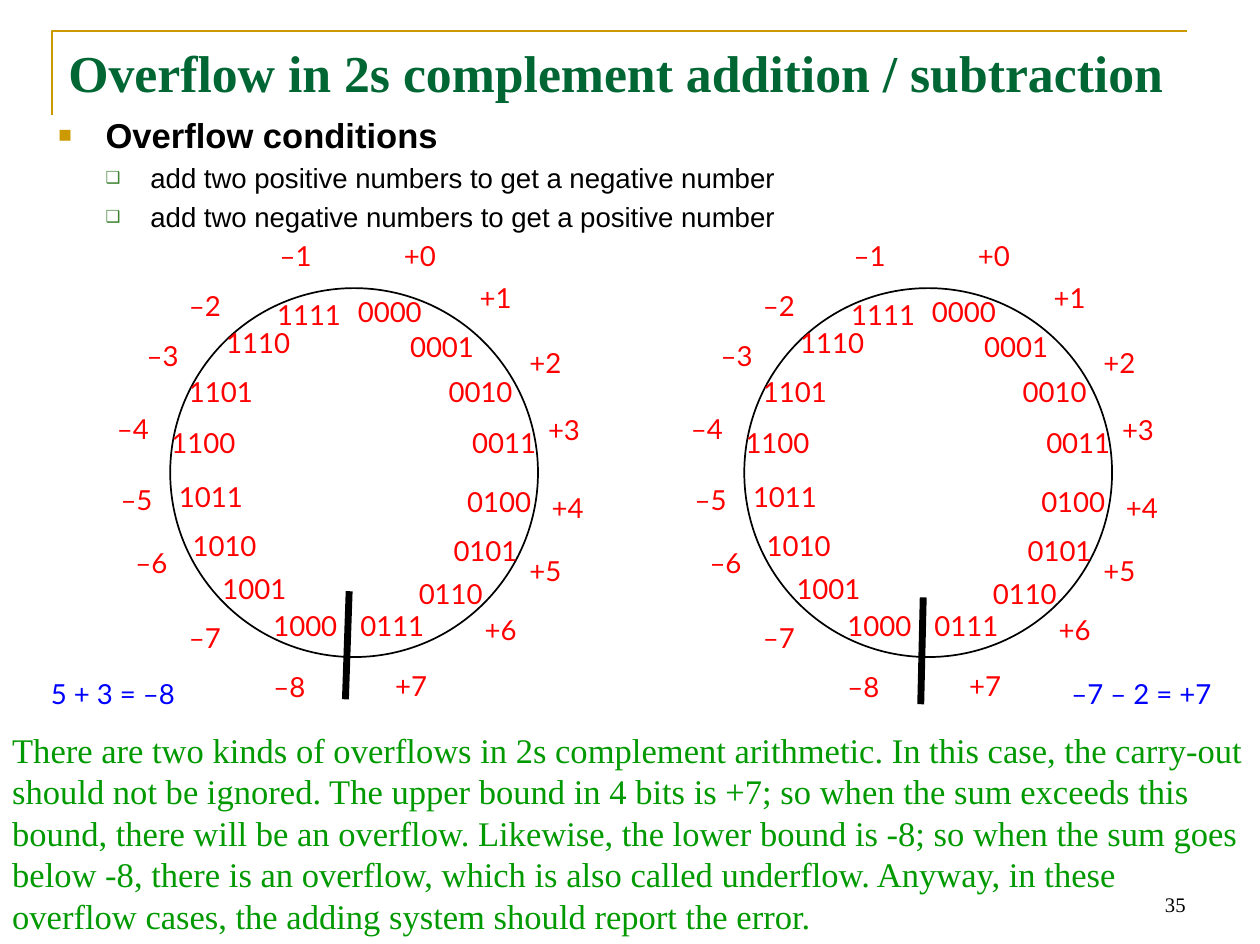
from dataclasses import dataclass

from lxml.etree import SubElement
from pptx import Presentation
from pptx.dml.color import RGBColor
from pptx.enum.shapes import MSO_CONNECTOR, MSO_SHAPE
from pptx.enum.text import MSO_ANCHOR, MSO_AUTO_SIZE, PP_ALIGN
from pptx.oxml.ns import qn
from pptx.util import Inches, Pt


@dataclass(frozen=True)
class Theme:
    """Colours, fonts and type sizes of the slide."""
    serif: str = "Times New Roman"
    sans: str = "Arial"
    label: str = "Lato"
    title: str = "006633"
    note: str = "009900"
    ink: str = "000000"
    paper: str = "FFFFFF"
    gold: str = "CC9900"
    leaf: str = "3B812F"
    red: str = "FF0000"
    blue: str = "0000FF"
    title_size: float = 30
    head_size: float = 20
    text_size: float = 16
    number_size: float = 12


T = Theme()
TITLE = "Overflow in 2s complement addition / subtraction"
BULLETS = [
    ("Overflow conditions", 0),
    ("add two positive numbers to get a negative number", 1),
    ("add two negative numbers to get a positive number", 1),
]
NOTE = (
    "There are two kinds of overflows in 2s complement arithmetic. In this case, "
    "the carry-out should not be ignored. The upper bound in 4 bits is +7; so when "
    "the sum exceeds this bound, there will be an overflow. Likewise, the lower "
    "bound is -8; so when the sum goes below -8, there is an overflow, which is "
    "also called underflow. Anyway, in these overflow cases, the adding system "
    "should report the error."
)
VALUES = [
    ("+0", 3.23, 1.94), ("+1", 3.84, 2.28), ("+2", 4.24, 2.8), ("+3", 4.39, 3.34),
    ("+4", 4.42, 3.97), ("+5", 4.24, 4.47), ("+6", 3.88, 4.95), ("+7", 3.16, 5.4),
    ("–8", 2.18, 5.41), ("–7", 1.5, 5.01), ("–6", 1.07, 4.41), ("–5", 0.95, 3.9),
    ("–4", 0.92, 3.33), ("–3", 1.16, 2.74), ("–2", 1.5, 2.34), ("–1", 2.23, 1.94),
]
CODE_PLACES = [
    (2.86, 2.42), (3.28, 2.7), (3.59, 3.06), (3.78, 3.47),
    (3.74, 3.95), (3.63, 4.34), (3.35, 4.69), (2.88, 4.95),
    (2.18, 4.95), (1.77, 4.65), (1.53, 4.3), (1.42, 3.91),
    (1.36, 3.47), (1.5, 3.06), (1.8, 2.67), (2.21, 2.44),
]
WHEEL_GAP = 4.62


def box(x, y, w, h):
    """Return left, top, width and height as lengths."""
    return [Inches(v) for v in (x, y, w, h)]


def place(sp, x, y, w, h):
    """Move and size a placeholder."""
    sp.left, sp.top, sp.width, sp.height = box(x, y, w, h)


def style(p, font, size, color, bold=False):
    """Format every run of a paragraph."""
    for r in p.runs:
        r.font.name, r.font.size, r.font.bold = font, Pt(size), bold
        r.font.color.rgb = RGBColor.from_string(color)


def add_label(shapes, text, x, y, w, h, color, spacing, align=PP_ALIGN.LEFT):
    """Add a one-line label with narrow margins."""
    tf = shapes.add_textbox(*box(x, y, w, h)).text_frame
    tf.word_wrap = False
    tf.margin_left = tf.margin_right = Inches(0.02)
    tf.margin_top = tf.margin_bottom = Inches(0.03)
    tf.text = text
    p = tf.paragraphs[0]
    p.alignment, p.line_spacing = align, Pt(spacing)
    style(p, T.label, T.text_size, color)


def add_wheel(shapes, dx):
    """Add the circle of 4-bit codes with their signed values."""
    group = shapes.add_group_shape().shapes
    for text, x, y in VALUES:
        add_label(group, text, x + dx, y, 0.42, 0.39, T.red, 16)
    sp = group.add_shape(MSO_SHAPE.OVAL, *box(1.37 + dx, 2.32, 2.96, 2.97))
    sp.shadow.inherit = False
    sp.fill.solid()
    sp.fill.fore_color.rgb = RGBColor.from_string(T.paper)
    sp.line.color.rgb = RGBColor.from_string(T.ink)
    sp.line.width = Pt(1)
    for code, (x, y) in enumerate(CODE_PLACES):
        add_label(group, f"{code:04b}", x + dx, y, 0.65, 0.33, T.red, 13.9)


def add_barrier(shapes, x1, y1, x2, y2):
    """Add the thick stroke between +7 and –8."""
    line = shapes.add_connector(MSO_CONNECTOR.STRAIGHT, *box(x1, y1, x2, y2))
    line.line.color.rgb = RGBColor.from_string(T.ink)
    line.line.width = Pt(4)
    SubElement(line._element.spPr, qn("a:effectLst"))


def add_corner(shapes):
    """Add the gold corner rule around the title."""
    pen = shapes.build_freeform(Inches(0.42), Inches(0.93))
    pen.add_line_segments([(Inches(0.42), Inches(0.25)),
                           (Inches(9.55), Inches(0.25))], close=False)
    sp = pen.convert_to_shape()
    sp.shadow.inherit = False
    sp.fill.background()
    sp.line.color.rgb = RGBColor.from_string(T.gold)
    sp.line.width = Pt(1.5)


def add_note(shapes):
    """Add the explanation across the foot of the slide."""
    sp = shapes.add_shape(MSO_SHAPE.RECTANGLE, *box(0, 5.82, 10.14, 1.77))
    sp.shadow.inherit = False
    sp.fill.solid()
    sp.fill.fore_color.rgb = RGBColor.from_string(T.paper)
    sp.line.fill.background()
    tf = sp.text_frame
    tf.word_wrap, tf.vertical_anchor = True, MSO_ANCHOR.TOP
    tf.text = NOTE
    tf.paragraphs[0].alignment = PP_ALIGN.LEFT
    style(tf.paragraphs[0], T.serif, T.head_size, T.note)


def add_number(shapes):
    """Add the slide number."""
    tf = shapes.add_textbox(*box(7.27, 6.92, 2.37, 0.51)).text_frame
    tf.word_wrap, tf.vertical_anchor = True, MSO_ANCHOR.BOTTOM
    tf.text = "35"
    tf.paragraphs[0].alignment = PP_ALIGN.RIGHT
    style(tf.paragraphs[0], T.serif, T.number_size, T.ink)


def set_bullet(p, char, color, percent, margin, hang):
    """Give a paragraph its bullet and hanging indent."""
    pPr = p._p.get_or_add_pPr()
    pPr.set("marL", str(Inches(margin)))
    pPr.set("indent", str(-Inches(hang)))
    SubElement(SubElement(pPr, qn("a:buClr")), qn("a:srgbClr"), val=color)
    SubElement(pPr, qn("a:buSzPct"), val=str(percent * 1000))
    SubElement(pPr, qn("a:buFont"), typeface=T.sans)
    SubElement(pPr, qn("a:buChar"), char=char)


def fill_title(sp):
    """Place and format the title."""
    place(sp, 0.45, 0.25, 9.69, 0.65)
    tf = sp.text_frame
    tf.auto_size, tf.vertical_anchor = MSO_AUTO_SIZE.NONE, MSO_ANCHOR.MIDDLE
    tf.text = TITLE
    tf.paragraphs[0].alignment = PP_ALIGN.LEFT
    style(tf.paragraphs[0], T.serif, T.title_size, T.title, True)


def fill_body(sp):
    """Place and format the bulleted list."""
    place(sp, 0.37, 0.87, 9.12, 5.02)
    tf = sp.text_frame
    tf.auto_size = MSO_AUTO_SIZE.NONE
    tf.text = "\n".join(text for text, _ in BULLETS)
    for p, (_, level) in zip(tf.paragraphs, BULLETS):
        p.level = level
        if level:
            p.space_before = Pt(3.2)
            set_bullet(p, "❑", T.leaf, 60, 0.74, 0.36)
            style(p, T.sans, T.text_size, T.ink)
        else:
            p.space_before = Pt(0)
            set_bullet(p, "■", T.gold, 65, 0.38, 0.38)
            style(p, T.sans, T.head_size, T.ink, True)


def main():
    """Build the slide and save it."""
    prs = Presentation()
    prs.slide_width, prs.slide_height = Inches(10.14), Inches(7.6)
    s = prs.slides.add_slide(prs.slide_layouts[1])
    fill_title(s.shapes.title)
    fill_body(s.placeholders[1])
    add_corner(s.shapes)
    add_note(s.shapes)
    add_number(s.shapes)
    add_label(s.shapes, "5 + 3 = –8", 0.39, 5.38, 1.28, 0.44, T.blue, 22)
    add_label(s.shapes, "–7 – 2 = +7", 8.17, 5.38, 1.6, 0.44, T.blue, 22, PP_ALIGN.RIGHT)
    add_wheel(s.shapes, WHEEL_GAP)
    add_barrier(s.shapes, 7.43, 4.81, 7.41, 5.67)
    add_wheel(s.shapes, 0)
    add_barrier(s.shapes, 2.81, 4.76, 2.78, 5.63)
    prs.save("out.pptx")


if __name__ == "__main__":
    main()
